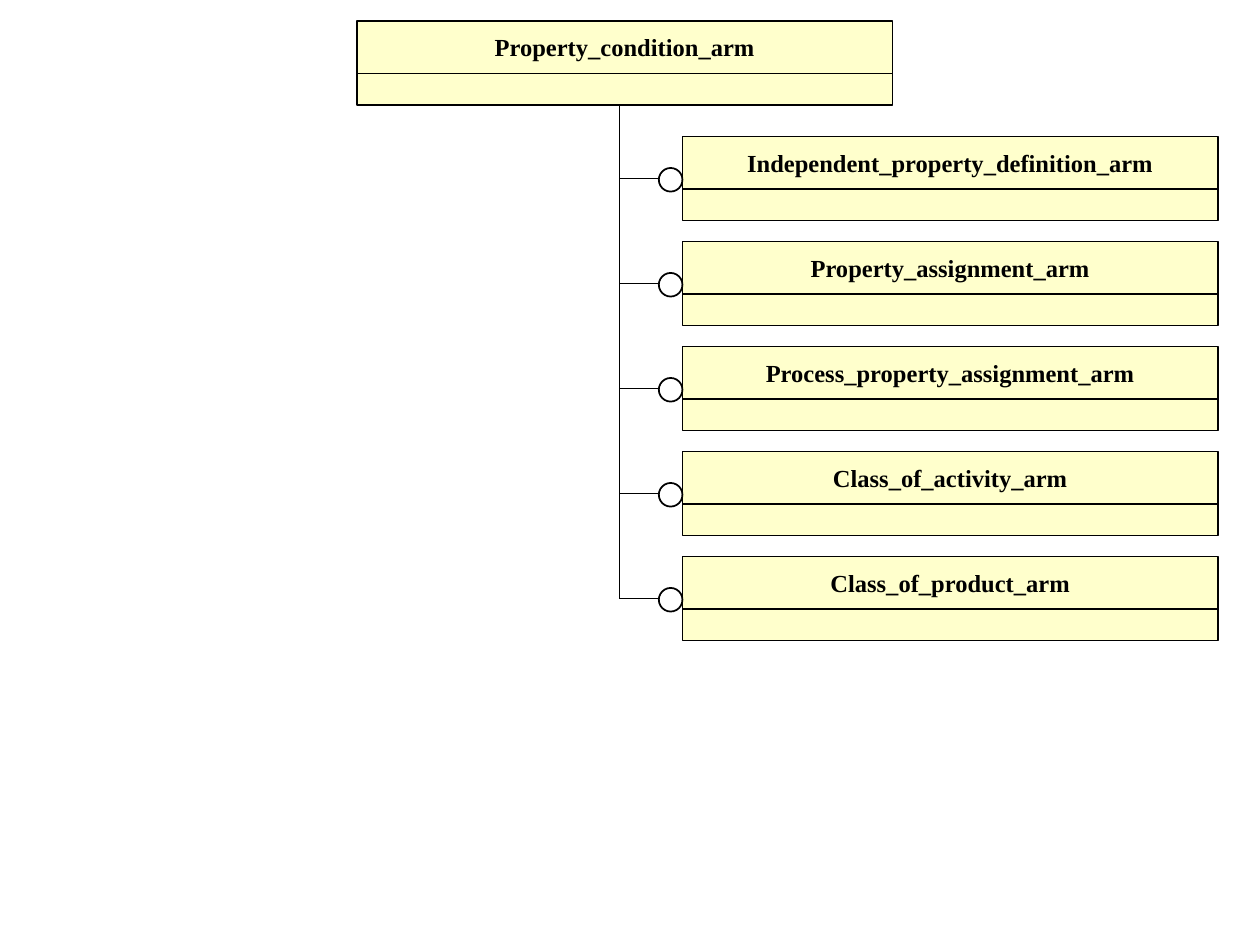
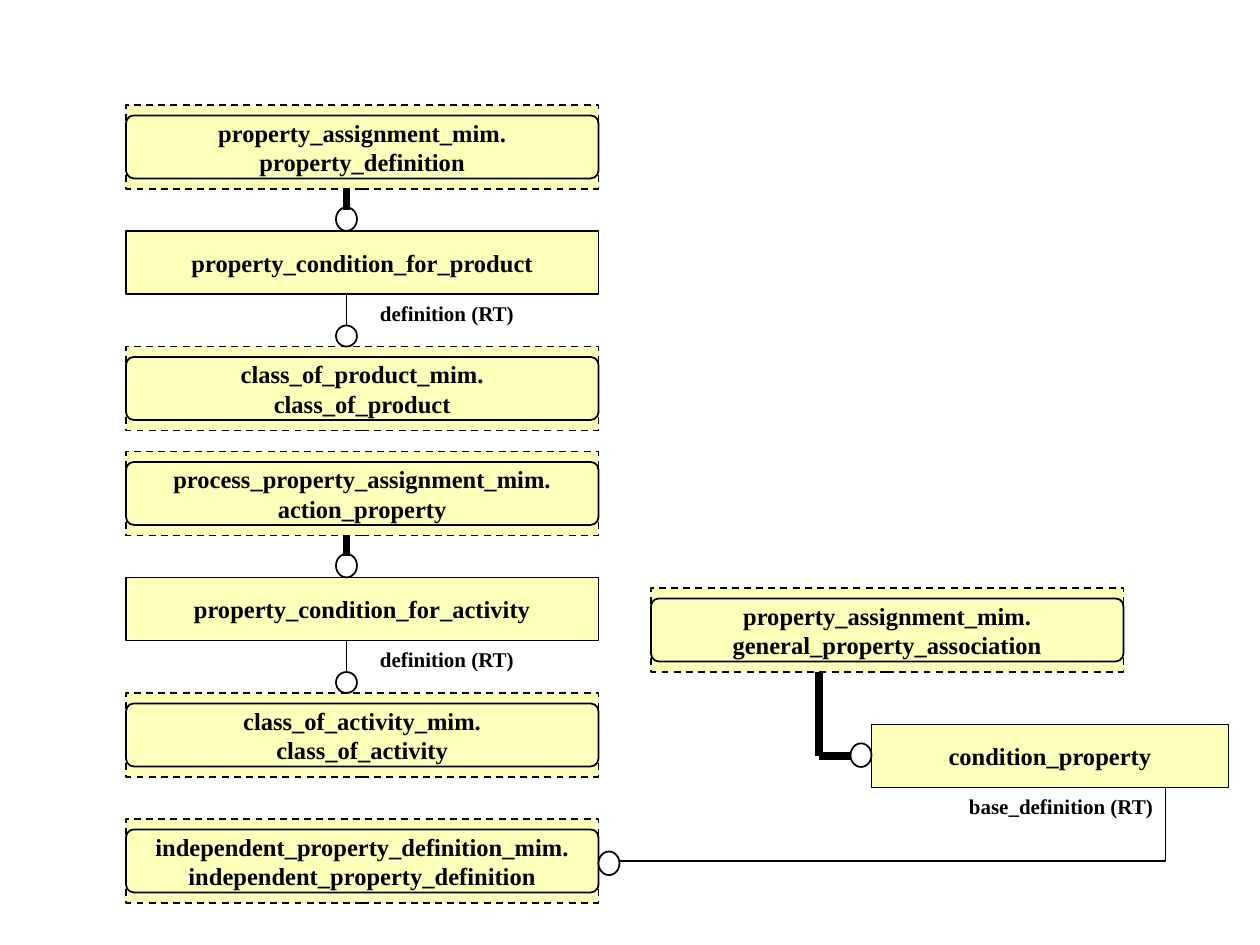
from lxml import etree
from pptx import Presentation
from pptx.dml.color import RGBColor
from pptx.enum.dml import MSO_LINE
from pptx.enum.shapes import MSO_CONNECTOR, MSO_SHAPE
from pptx.enum.text import MSO_ANCHOR, PP_ALIGN
from pptx.oxml.ns import qn
from pptx.util import Inches, Pt

RECT, ROUNDED, OVAL = MSO_SHAPE.RECTANGLE, MSO_SHAPE.ROUNDED_RECTANGLE, MSO_SHAPE.OVAL
STRAIGHT = MSO_CONNECTOR.STRAIGHT
DASH = MSO_LINE.DASH
LEFT, CENTER, RIGHT = PP_ALIGN.LEFT, PP_ALIGN.CENTER, PP_ALIGN.RIGHT
MIDDLE, TOP = MSO_ANCHOR.MIDDLE, MSO_ANCHOR.TOP

SLIDE_W, SLIDE_H = 10, 7.5
COLUMNS = 120
INK, PAPER, ARM_FILL, MIM_FILL = "000000", "FFFFFF", "FFFFCC", "FCFEB9"
THIN, NORMAL, THICK = 0.75, 1, 4.5
BOX_W, REF_H, ENTITY_H = 45, 8, 6
CIRCLE = 2.25

ARM_CHILDREN = [
    "Independent_property_definition_arm",
    "Property_assignment_arm",
    "Process_property_assignment_arm",
    "Class_of_activity_arm",
    "Class_of_product_arm",
]
CONDITION_CHAINS = [
    (10, ["property_assignment_mim.", "property_definition"],
     "property_condition_for_product",
     ["class_of_product_mim.", "class_of_product"]),
    (43, ["process_property_assignment_mim.", "action_property"],
     "property_condition_for_activity",
     ["class_of_activity_mim.", "class_of_activity"]),
]


def grid(*cells):
    return [Inches(cell * SLIDE_W / COLUMNS) for cell in cells]


def color(value):
    return RGBColor.from_string(value)


def write(frame, lines, size=14, align=CENTER, anchor=MIDDLE, wrap=False):
    frame.word_wrap = wrap
    frame.vertical_anchor = anchor
    font_format = {"name": "Times New Roman", "size": Pt(size), "bold": True}
    for index, line in enumerate(lines):
        paragraph = frame.paragraphs[0] if index == 0 else frame.add_paragraph()
        paragraph.alignment = align
        run = paragraph.add_run()
        run.text = line
        for key, value in font_format.items():
            setattr(run.font, key, value)
        run.font.color.rgb = color(INK)


def add_box(slide, kind, box, fill=None, width=NORMAL, lines=(), dash=None):
    shape = slide.shapes.add_shape(kind, *grid(*box))
    shape.shadow.inherit = False
    if fill:
        shape.fill.solid()
        shape.fill.fore_color.rgb = color(fill)
    else:
        shape.fill.background()
    shape.line.color.rgb = color(INK)
    shape.line.width = Pt(width)
    if dash:
        shape.line.dash_style = dash
    if lines:
        write(shape.text_frame, lines)
    return shape


def add_line(slide, start, end, width=NORMAL):
    connector = slide.shapes.add_connector(STRAIGHT, *grid(*start, *end))
    connector.line.color.rgb = color(INK)
    connector.line.width = Pt(width)
    etree.SubElement(connector._element.spPr, qn("a:effectLst"))


def add_circle(slide, left, top, width=2, height=CIRCLE):
    add_box(slide, OVAL, (left, top, width, height), PAPER)


def add_label(slide, box, text, align=LEFT):
    label = slide.shapes.add_textbox(*grid(*box))
    write(label.text_frame, [text], 12, align, TOP, True)


def add_arm_entity(slide, left, top, name):
    width, name_h, attributes_h = 51, 5, 3
    add_box(slide, RECT, (left, top, width, name_h), ARM_FILL, THIN, [name])
    add_box(slide, RECT, (left, top + name_h, width, attributes_h), ARM_FILL, THIN)


def add_reference(slide, left, top, lines):
    add_box(slide, RECT, (left, top, BOX_W, REF_H), MIM_FILL, lines=lines, dash=DASH)
    frame = add_box(slide, ROUNDED, (left, top + 1, BOX_W, REF_H - 2))
    frame.adjustments[0] = 0.125


def add_entity(slide, left, top, width, name):
    add_box(slide, RECT, (left, top, width, ENTITY_H), MIM_FILL, lines=[name])


def build_arm_slide(slide):
    child_left, first_top, pitch, trunk = 65, 13, 10, 59
    branch_drop = 4
    add_arm_entity(slide, 34, 2, "Property_condition_arm")
    last_branch = first_top + pitch * (len(ARM_CHILDREN) - 1) + branch_drop
    add_line(slide, (trunk, 10), (trunk, last_branch), THIN)
    for index, name in enumerate(ARM_CHILDREN):
        top = first_top + index * pitch
        branch = top + branch_drop
        add_arm_entity(slide, child_left, top, name)
        add_line(slide, (trunk, branch), (child_left - 2, branch), THIN)
        add_circle(slide, child_left - CIRCLE, top + 3, CIRCLE)


def add_condition_chain(slide, left, top, supertype, entity, definition):
    entity_top, definition_top = top + 12, top + 23
    entity_bottom = entity_top + ENTITY_H
    axis = left + 21
    add_reference(slide, left, top, supertype)
    add_entity(slide, left, entity_top, BOX_W, entity)
    add_reference(slide, left, definition_top, definition)
    add_circle(slide, axis - 1, entity_top - CIRCLE)
    add_line(slide, (axis, top + REF_H), (axis, entity_top - 2), THICK)
    add_circle(slide, axis - 1, definition_top - 2, height=2)
    add_line(slide, (axis, entity_bottom), (axis, definition_top - 2))
    add_label(slide, (axis + 2, entity_bottom, 20, 3.6), "definition (RT)")


def add_condition_property(slide, left, top):
    entity_left, entity_top = left + 21, top + 13
    elbow_x, elbow_y = left + 16, top + 16
    base_x, base_y = left + 49, top + 26
    target_right = 12 + BOX_W
    add_reference(slide, left, top,
                  ["property_assignment_mim.", "general_property_association"])
    add_entity(slide, entity_left, entity_top, 34, "condition_property")
    add_reference(slide, 12, base_y - 4,
                  ["independent_property_definition_mim.",
                   "independent_property_definition"])
    add_circle(slide, entity_left - 2, elbow_y - 1.2)
    add_line(slide, (elbow_x, top + REF_H), (elbow_x, elbow_y), THICK)
    add_line(slide, (elbow_x, elbow_y), (entity_left - 2, elbow_y), THICK)
    add_circle(slide, target_right, base_y - 0.9)
    add_line(slide, (target_right + 2, base_y), (base_x, base_y))
    add_line(slide, (base_x, entity_top + ENTITY_H), (base_x, base_y))
    add_label(slide, (base_x - 20, entity_top + ENTITY_H, 20, 6),
              "base_definition (RT)", RIGHT)


def build_mim_slide(slide):
    for top, supertype, entity, definition in CONDITION_CHAINS:
        add_condition_chain(slide, 12, top, supertype, entity, definition)
    add_condition_property(slide, 62, 56)


def main():
    deck = Presentation()
    deck.slide_width, deck.slide_height = Inches(SLIDE_W), Inches(SLIDE_H)
    for build in (build_arm_slide, build_mim_slide):
        build(deck.slides.add_slide(deck.slide_layouts[6]))
    deck.save("out.pptx")


if __name__ == "__main__":
    main()
